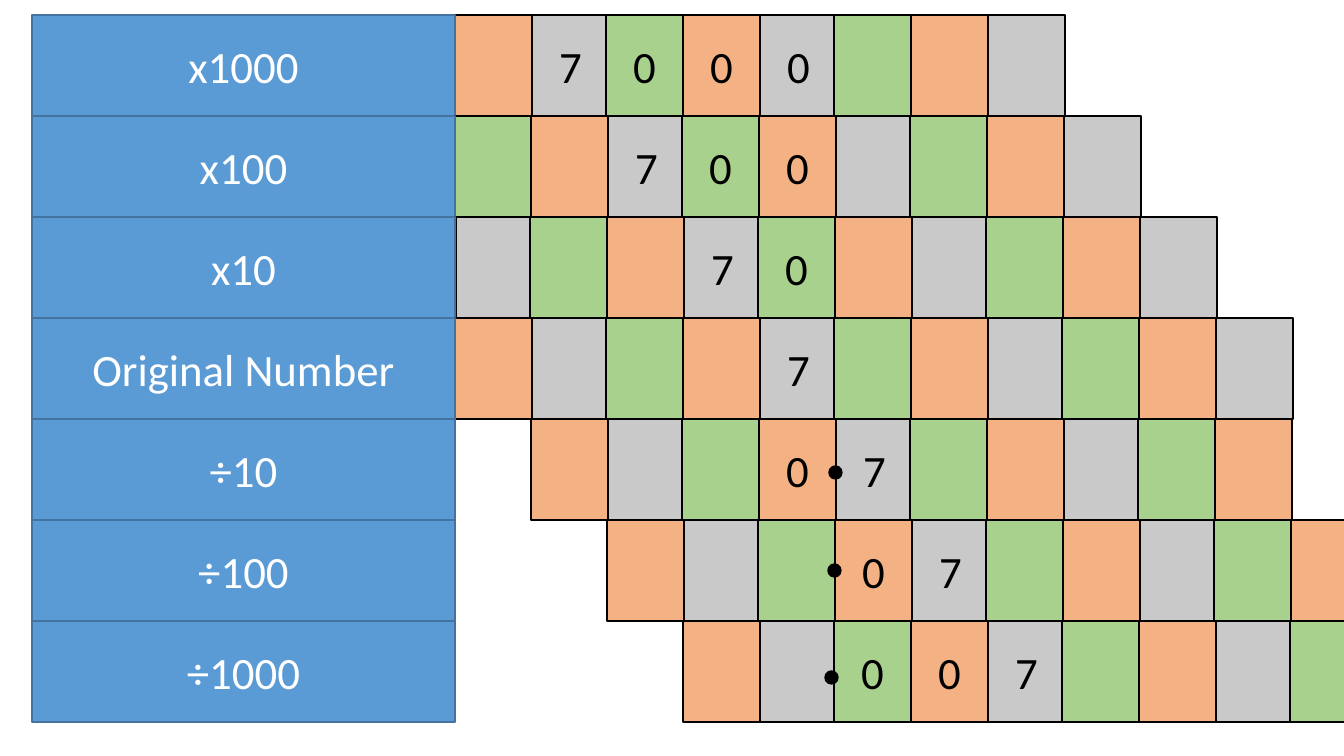
"""Place value slider: the digit 7 shifted by powers of ten."""
from pptx import Presentation
from pptx.dml.color import RGBColor
from pptx.enum.shapes import MSO_SHAPE
from pptx.enum.text import MSO_ANCHOR, PP_ALIGN
from pptx.util import Pt

BLUE = RGBColor(0x5B, 0x9B, 0xD5)
NAVY = RGBColor(0x43, 0x73, 0x9E)
ORANGE = RGBColor(0xF4, 0xB1, 0x83)
GREY = RGBColor(0xC9, 0xC9, 0xC9)
GREEN = RGBColor(0xA9, 0xD1, 0x8E)
BLACK = RGBColor(0, 0, 0)
WHITE = RGBColor(0xFF, 0xFF, 0xFF)

# label, number of places on the strip, index of the first digit, digits
ROWS = [
    ("x1000", 11, 4, "7000"),
    ("x100", 11, 4, "700"),
    ("x10", 11, 4, "70"),
    ("Original Number", 11, 4, "7"),
    ("÷10", 10, 3, "07"),
    ("÷100", 10, 3, "07"),
    ("÷1000", 9, 2, "007"),
]
POINTS = [(829, 466), (828, 564), (825, 671)]
COLOURS = (ORANGE, GREY, GREEN)
OFFSETS = (0, 77, 151)

PX = 914400 / 100.8
TOP, ROW_H = 15, 101
LABEL_X, LABEL_W = 32, 423
STRIP_X, SHIFT, CELL_W, GROUP_W = 227, 76, 77, 228
DOT = 13


def px(n):
    """Turn px into EMU."""
    return round(n * PX)


def write(shape, text, size=32, color=BLACK, font="Calibri"):
    """Put centred text in a shape."""
    tf = shape.text_frame
    tf.word_wrap = True
    tf.vertical_anchor = MSO_ANCHOR.MIDDLE
    p = tf.paragraphs[0]
    p.alignment = PP_ALIGN.CENTER
    r = p.add_run()
    r.text = text
    r.font.size = Pt(size)
    r.font.name = font
    r.font.color.rgb = color


def draw(s, kind, x, y, w, h, fill, line=BLACK):
    """Add a filled, outlined shape."""
    sp = s.shapes.add_shape(kind, px(x), px(y), px(w), px(h))
    sp.shadow.inherit = False
    sp.fill.solid()
    sp.fill.fore_color.rgb = fill
    sp.line.color.rgb = line
    sp.line.width = Pt(1)
    return sp


def main():
    """Build and save the slide."""
    prs = Presentation()
    prs.slide_width, prs.slide_height = px(1344), px(756)
    s = prs.slides.add_slide(prs.slide_layouts[6])
    for row, (label, count, first, digits) in enumerate(ROWS):
        y = TOP + row * ROW_H
        for i in range(max(0, 3 - row), count):
            group, place = divmod(i, 3)
            x = STRIP_X + row * SHIFT + group * GROUP_W + OFFSETS[place]
            cell = draw(s, MSO_SHAPE.RECTANGLE, x, y, CELL_W, ROW_H, COLOURS[place])
            if first <= i < first + len(digits):
                write(cell, digits[i - first])
        sp = draw(s, MSO_SHAPE.RECTANGLE, LABEL_X, y, LABEL_W, ROW_H, BLUE, NAVY)
        write(sp, label, color=WHITE)
    for x, y in POINTS:
        draw(s, MSO_SHAPE.OVAL, x, y, DOT, DOT, BLACK)
    prs.save("out.pptx")


if __name__ == "__main__":
    main()
